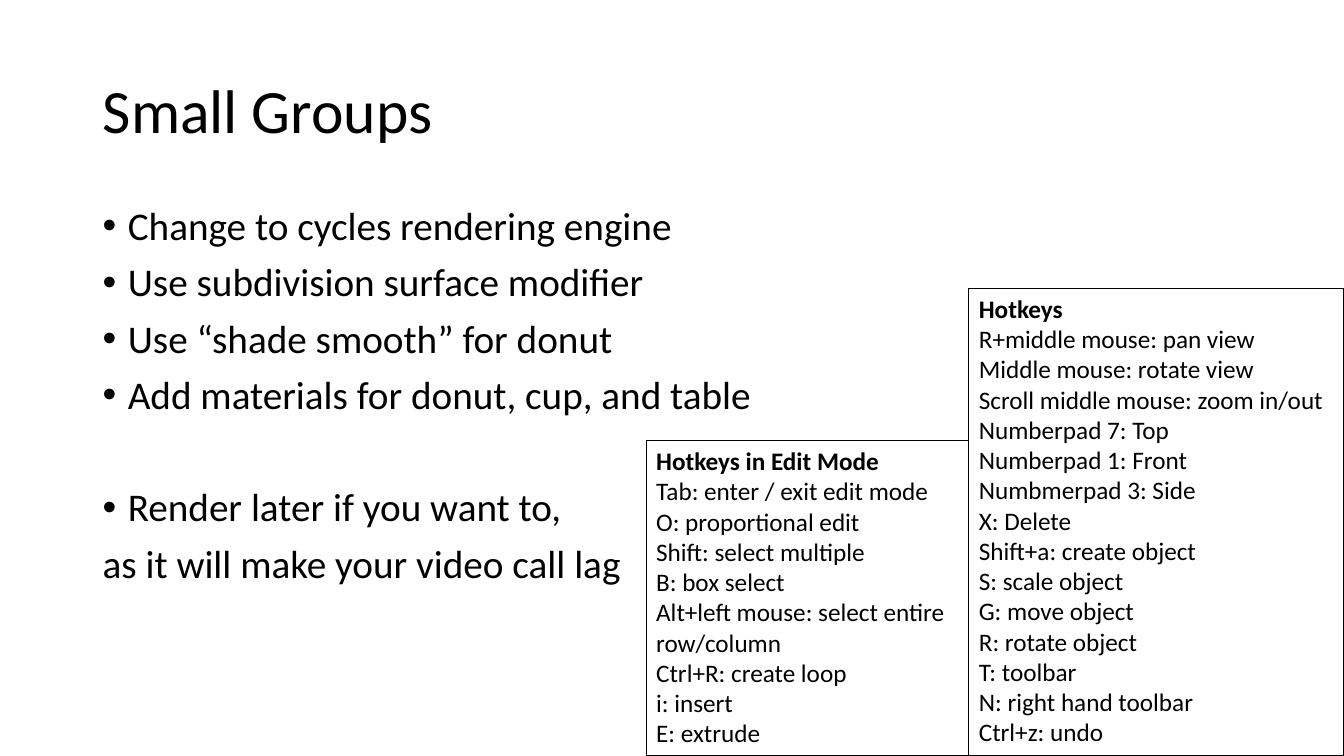
import pptx
import pptx.dml.color
import pptx.enum.text
import pptx.oxml
import pptx.oxml.ns
import pptx.util

Inches, Pt = pptx.util.Inches, pptx.util.Pt
Fit = pptx.enum.text.MSO_AUTO_SIZE
Anchor = pptx.enum.text.MSO_ANCHOR
LEFT = pptx.enum.text.PP_ALIGN.LEFT
INK = "000000"

TITLE = "Small Groups"
# Each step: text, bulleted, space before
STEPS = [
    ("Change to cycles rendering engine", True, 0),
    ("Use subdivision surface modifier", True, 10),
    ("Use “shade smooth” for donut", True, 10),
    ("Add materials for donut, cup, and table", True, 10),
    ("Render later if you want to,", True, 50),
    ("as it will make your video call lag", False, 10),
]
EDIT_KEYS = [
    "Hotkeys in Edit Mode",
    "Tab: enter / exit edit mode",
    "O: proportional edit",
    "Shift: select multiple",
    "B: box select",
    "Alt+left mouse: select entire row/column",
    "Ctrl+R: create loop",
    "i: insert",
    "E: extrude",
]
VIEW_KEYS = [
    "Hotkeys",
    "R+middle mouse: pan view",
    "Middle mouse: rotate view",
    "Scroll middle mouse: zoom in/out",
    "Numberpad 7: Top",
    "Numberpad 1: Front",
    "Numbmerpad 3: Side",
    "X: Delete",
    "Shift+a: create object",
    "S: scale object",
    "G: move object",
    "R: rotate object",
    "T: toolbar",
    "N: right hand toolbar",
    "Ctrl+z: undo",
]


def color(code):
    return pptx.dml.color.RGBColor.from_string(code)


def apply(target, values):
    """Set each named attribute of target."""
    for name, value in values.items():
        setattr(target, name, value)


def write(para, text, size, bold=False, **form):
    para.text = text
    apply(para, {"alignment": LEFT, **form})
    apply(para.font, {"name": "Calibri", "size": Pt(size), "bold": bold})
    para.font.color.rgb = color(INK)


def bullet(para):
    props = para._p.get_or_add_pPr()
    for name, inches in {"marL": 0.25, "indent": -0.25}.items():
        props.set(name, str(int(Inches(inches))))
    space = pptx.oxml.ns.nsdecls("a")
    for xml in (f'<a:buFont {space} typeface="Arial"/>',
                f'<a:buChar {space} char="•"/>'):
        props.append(pptx.oxml.parse_xml(xml))


def paras(frame, items):
    """Pair each item with a paragraph of the frame."""
    for pos, item in enumerate(items):
        yield frame.add_paragraph() if pos else frame.paragraphs[0], item


def add_title(slide, text):
    title = slide.shapes.title
    apply(title, {"left": Inches(0.92), "top": Inches(0.4),
                  "width": Inches(11.5), "height": Inches(1.45)})
    apply(title.text_frame, {"auto_size": Fit.NONE, "word_wrap": True,
                             "vertical_anchor": Anchor.MIDDLE})
    write(title.text_frame.paragraphs[0], text, 44, line_spacing=0.9)


def add_box(slide, left, top, width, height, fit=Fit.NONE):
    box = slide.shapes.add_textbox(*map(Inches, (left, top, width, height)))
    apply(box.text_frame, {"word_wrap": True, "auto_size": fit})
    return box


def add_steps(slide, steps):
    box = add_box(slide, 0.92, 2, 11.5, 4.76)
    for para, (text, marked, gap) in paras(box.text_frame, steps):
        if marked:
            bullet(para)
        write(para, text, 28, line_spacing=0.9, space_before=Pt(gap))


def add_keys(slide, left, top, width, lines):
    """Add a framed key list that ends at the slide's bottom edge."""
    box = add_box(slide, left, top, width, 7.5 - top, Fit.SHAPE_TO_FIT_TEXT)
    box.line.color.rgb = color(INK)
    box.line.width = Pt(0.75)
    for para, line in paras(box.text_frame, lines):
        write(para, line, 18, bold=line == lines[0])


def main():
    deck = pptx.Presentation()
    apply(deck, {"slide_width": Inches(13.33), "slide_height": Inches(7.5)})
    slide = deck.slides.add_slide(deck.slide_layouts[5])
    add_title(slide, TITLE)
    add_steps(slide, STEPS)
    add_keys(slide, 6.41, 4.37, 3.2, EDIT_KEYS)
    add_keys(slide, 9.61, 2.86, 3.72, VIEW_KEYS)
    deck.save("out.pptx")


if __name__ == "__main__":
    main()
